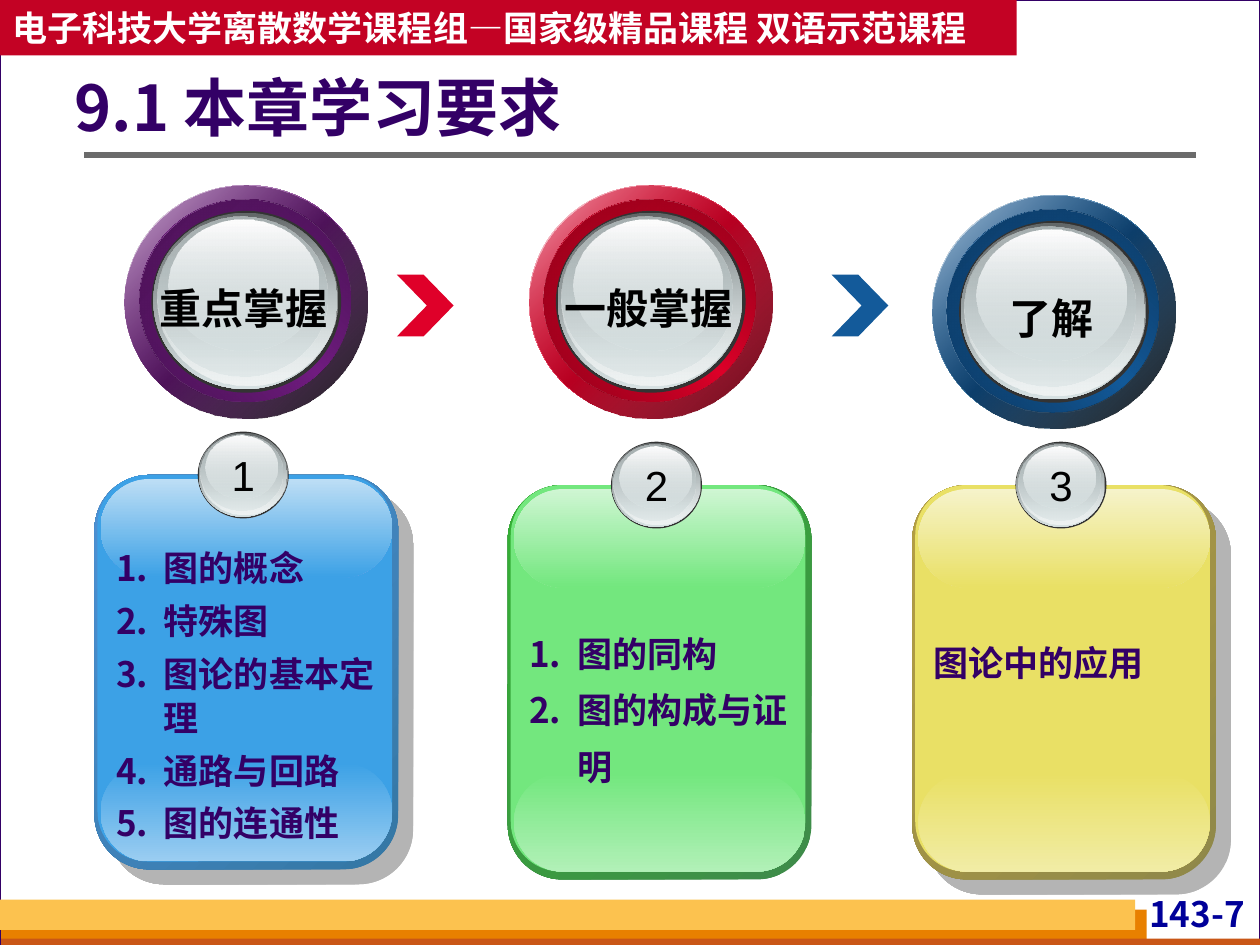
from dataclasses import dataclass

from lxml import etree
from pptx import Presentation
from pptx.dml.color import RGBColor
from pptx.enum.shapes import MSO_CONNECTOR, MSO_SHAPE as Preset
from pptx.enum.text import MSO_ANCHOR as Anchor, MSO_AUTO_SIZE as AutoSize, PP_ALIGN as Align
from pptx.oxml.ns import qn
from pptx.util import Inches, Pt

LATIN, CJK = "Arial", "Noto Sans CJK SC"
WHITE, BLACK = RGBColor(255, 255, 255), RGBColor(0, 0, 0)
INDIGO, NAVY = RGBColor(0x33, 0x00, 0x66), RGBColor(0x00, 0x00, 0x99)
CRIMSON, GRAY = RGBColor(0xC3, 0x02, 0x24), RGBColor(0x6B, 0x6B, 0x6B)
BACKDROP, CHARCOAL = RGBColor(0xD8, 0xDA, 0xDA), RGBColor(0x33, 0x33, 0x33)
ORANGE, RUST = RGBColor(0xE8, 0x80, 0x00), RGBColor(0xC9, 0x56, 0x16)
AMBER = RGBColor(0xFC, 0xC2, 0x4F)
PEARL, MIST = RGBColor(0xFE, 0xFE, 0xFE), RGBColor(0xD6, 0xE1, 0xE2)
SLATE, STEEL = RGBColor(0x62, 0x67, 0x68), RGBColor(0xA8, 0xB1, 0xB2)
FROST = RGBColor(0xEF, 0xF3, 0xF3)
PURPLE, RED, BLUE = (RGBColor(0x71, 0x1C, 0x81), RGBColor(0xDF, 0x00, 0x29),
                     RGBColor(0x13, 0x5A, 0x9A))
# ring: base, groove, rim, shade, shade opacity
PURPLE_RING = (PURPLE, RGBColor(0x3C, 0x0F, 0x45), RGBColor(0x47, 0x11, 0x51), BLACK, 90)
RED_RING = (RED, RGBColor(0x78, 0x00, 0x16), RGBColor(0x8D, 0x00, 0x19),
            RGBColor(0x66, 0x00, 0x12), 100)
BLUE_RING = (BLUE, RGBColor(0x0A, 0x30, 0x53), RGBColor(0x0C, 0x38, 0x61), BLACK, 90)
# card: face, dark edge, light edge, top gloss, bottom gloss
BLUE_CARD = (RGBColor(0x3C, 0xA1, 0xE6), RGBColor(0x34, 0x77, 0xA4), RGBColor(0x4E, 0x91, 0xD4),
             RGBColor(0xBD, 0xDE, 0xF5), RGBColor(0x9A, 0xCD, 0xF1))
GREEN_CARD = (RGBColor(0x73, 0xE7, 0x7E), RGBColor(0x3F, 0x8B, 0x4A), RGBColor(0x34, 0xB0, 0x34),
              RGBColor(0xCF, 0xF6, 0xD3), RGBColor(0xB1, 0xF0, 0xB7))
YELLOW_CARD = (RGBColor(0xE9, 0xE0, 0x65), RGBColor(0x8F, 0x88, 0x49), RGBColor(0xB5, 0x9F, 0x43),
               RGBColor(0xF6, 0xF3, 0xCA), RGBColor(0xF1, 0xEC, 0xA5))


@dataclass
class Box:
    left: float
    top: float
    width: float
    height: float

    def inset(self, x, y, width, height):
        """Return an inner box given as shares of this one."""
        return Box(self.left + x * self.width, self.top + y * self.height,
                   width * self.width, height * self.height)

    def lengths(self):
        return [Inches(n) for n in (self.left, self.top, self.width, self.height)]


def add_color(parent, color, opacity=100):
    node = etree.SubElement(parent, qn("a:srgbClr"), val=str(color))
    if opacity < 100:
        etree.SubElement(node, qn("a:alpha"), val=str(opacity * 1000))


def fill_gradient(shape, angle, stops):
    """Fill with (position, colour, opacity) stops; the angle runs clockwise."""
    shape.fill.gradient()
    gradient = shape.element.spPr.find(qn("a:gradFill"))
    for child in list(gradient):
        gradient.remove(child)
    stop_list = etree.SubElement(gradient, qn("a:gsLst"))
    for position, color, opacity in stops:
        stop = etree.SubElement(stop_list, qn("a:gs"), pos=str(position * 1000))
        add_color(stop, color, opacity)
    etree.SubElement(gradient, qn("a:lin"), ang=str(angle * 60000), scaled="0")


def blend(start, end, start_opacity=100, end_opacity=100):
    return [(0, start, start_opacity), (100, end, end_opacity)]


def add_preset(page, preset, box, color=None, gradient=None, radius=None):
    shape = page.shapes.add_shape(preset, *box.lengths())
    shape.shadow.inherit = False
    shape.line.fill.background()
    if gradient:
        fill_gradient(shape, *gradient)
    else:
        shape.fill.solid()
        shape.fill.fore_color.rgb = color
    if radius is not None:
        shape.adjustments[0] = radius
    return shape


def write(frame, lines, size=20, color=INDIGO, bold=True, font=CJK, align=Align.LEFT,
          anchor=Anchor.TOP, wrap=True, spacing=None, before=0, numbered=False,
          margins=(0.1, 0.05, 0.1, 0.05)):
    frame.word_wrap, frame.vertical_anchor = wrap, anchor
    frame.auto_size = AutoSize.NONE
    (frame.margin_left, frame.margin_top,
     frame.margin_right, frame.margin_bottom) = map(Inches, margins)
    for index, line in enumerate(lines):
        para = frame.add_paragraph() if index else frame.paragraphs[0]
        para.alignment, para.line_spacing = align, spacing
        para.space_before = Pt(before if index else 0)
        if numbered:
            props = para._p.get_or_add_pPr()
            props.set("marL", str(Inches(0.38)))
            props.set("indent", str(-Inches(0.38)))
            add_color(etree.SubElement(props, qn("a:buClr")), color)
            etree.SubElement(props, qn("a:buFont"), typeface=CJK)
            etree.SubElement(props, qn("a:buAutoNum"), type="arabicPeriod")
        span = para.add_run()
        span.text = line
        span.font.size, span.font.bold, span.font.name = Pt(size), bold, font
        span.font.color.rgb = color
        etree.SubElement(span._r.get_or_add_rPr(), qn("a:ea"), typeface=CJK)


def add_text(page, box, lines, **style):
    write(page.shapes.add_textbox(*box.lengths()).text_frame, lines, **style)


def draw_frame(page, area):
    """Draw the page border, header banner, title rule, footer bars and page number."""
    page.background.fill.solid()
    page.background.fill.fore_color.rgb = BACKDROP
    border = add_preset(page, Preset.RECTANGLE, area, WHITE)
    border.line.color.rgb, border.line.width = INDIGO, Pt(0.75)
    for color, left, top, width, height in ((ORANGE, 0.01, 7.22, 9.09, 0.28),
                                            (RUST, 0.01, 7.45, 10, 0.08),
                                            (AMBER, 0, 7.14, 9.01, 0.24)):
        add_preset(page, Preset.RECTANGLE, Box(left, top, width, height), color)
    add_text(page, Box(8.7, 7.08, 1.22, 0.38), ["143-7"], color=NAVY, align=Align.RIGHT,
             margins=(0.04, 0, 0.04, 0))
    rule = page.shapes.add_connector(MSO_CONNECTOR.STRAIGHT, *map(Inches, (0.67, 1.23, 9.49, 1.23)))
    rule.line.color.rgb, rule.line.width = GRAY, Pt(3)
    etree.SubElement(rule._element.spPr, qn("a:effectLst"))
    banner = add_preset(page, Preset.RECTANGLE, Box(0, 0, 8.07, 0.44), CRIMSON)
    write(banner.text_frame, ["电子科技大学离散数学课程组—国家级精品课程 双语示范课程"],
          color=WHITE, anchor=Anchor.MIDDLE)


def place_title(page, box, text):
    title = page.shapes.title
    title.left, title.top, title.width, title.height = box.lengths()
    write(title.text_frame, [text], size=36, anchor=Anchor.MIDDLE, spacing=0.9,
          margins=(0, 0.05, 0.1, 0.05))
    page.shapes.element.append(title.element)  # in front of the page border


def draw_glass(page, box):
    """Draw a glass button: a dark disc under four glossy layers."""
    add_preset(page, Preset.OVAL, box, CHARCOAL)
    for share, stops in (((0.01, 0.01, 0.97, 0.97), blend(SLATE, MIST)),
                         ((0.03, 0.02, 0.95, 0.94), blend(MIST, FROST, 0)),
                         ((0.03, 0.03, 0.9, 0.88), blend(STEEL, MIST, 100, 48)),
                         ((0.09, 0.05, 0.79, 0.72), blend(PEARL, MIST, 100, 38))):
        add_preset(page, Preset.OVAL, box.inset(*share), gradient=(90, stops))


def draw_ring(page, box, label, colors):
    base, groove, rim, shade, opacity = colors
    inner = box.inset(0.06, 0.06, 0.87, 0.87)
    for disc, angle, stops in (
            (box, 225, [(0, PEARL, 100), (50, base, 100), (100, PEARL, 100)]),
            (box, 225, blend(shade, base, opacity, 32)),
            (inner, 135, [(0, groove, 100), (50, base, 100), (100, groove, 100)]),
            (inner, 225, blend(base, rim, 0))):
        add_preset(page, Preset.OVAL, disc, gradient=(angle, stops))
    draw_glass(page, box.inset(0.11, 0.11, 0.78, 0.78))
    add_text(page, box.inset(0.07, 0.39, 0.84, 0.27), [label], size=24, color=BLACK,
             font=LATIN, align=Align.CENTER)


def draw_card(page, box, number, lines, colors, text_top, shadow=True, **style):
    face, dark, light, top_gloss, bottom_gloss = colors
    edge = add_preset(page, Preset.ROUNDED_RECTANGLE, box, radius=0.18,
                      gradient=(225, blend(dark, light)))
    if shadow:
        effects = edge.element.spPr.find(qn("a:effectLst"))
        drop = etree.SubElement(effects, qn("a:outerShdw"), dist=str(Pt(12.1)),
                                dir=str(45 * 60000), algn="ctr", rotWithShape="0")
        add_color(drop, GRAY, 50)
    add_preset(page, Preset.ROUNDED_RECTANGLE, box.inset(0.01, 0, 0.97, 0.98), face, radius=0.17)
    for y, stops in ((0.73, blend(face, bottom_gloss)), (0.01, blend(top_gloss, face))):
        add_preset(page, Preset.ROUNDED_RECTANGLE, box.inset(0.02, y, 0.96, 0.25),
                   gradient=(90, stops), radius=0.5)
    badge = box.inset(0.34, -0.11, 0.3, 0.22)
    draw_glass(page, badge)
    add_text(page, badge, [number], size=24, color=BLACK, bold=False, font=LATIN,
             align=Align.CENTER, anchor=Anchor.MIDDLE)
    add_text(page, box.inset(0.03, text_top, 0.95, 0.95 - text_top), lines, **style)


def main():
    deck = Presentation()
    deck.slide_width, deck.slide_height = Inches(10), Inches(7.5)
    page = deck.slides.add_slide(deck.slide_layouts[5])
    draw_frame(page, Box(0, 0, 10, 7.5))
    place_title(page, Box(0.59, 0.54, 7.78, 0.69), "9.1 本章学习要求")
    for left, color in ((3.15, RED), (6.6, BLUE)):
        arrow = add_preset(page, Preset.CHEVRON, Box(left, 2.18, 0.45, 0.49), color)
        arrow.adjustments[0] = 0.53
    for left, top, label, colors in ((0.99, 1.47, "重点掌握", PURPLE_RING),
                                     (4.2, 1.47, "一般掌握", RED_RING),
                                     (7.4, 1.55, "了解", BLUE_RING)):
        draw_ring(page, Box(left, top, 1.93, 1.85), label, colors)
    draw_card(page, Box(0.75, 3.77, 2.41, 3.13), "1",
              ["图的概念", "特殊图", "图论的基本定理", "通路与回路", "图的连通性"],
              BLUE_CARD, 0.16, spacing=1.05, before=5, numbered=True)
    draw_card(page, Box(4.03, 3.85, 2.41, 3.13), "2", ["图的同构", "图的构成与证明"],
              GREEN_CARD, 0.32, shadow=False, font=LATIN, spacing=1.35, numbered=True)
    draw_card(page, Box(7.24, 3.85, 2.41, 3.13), "3", ["图论中的应用"],
              YELLOW_CARD, 0.35, font=LATIN, spacing=1.3)
    deck.save("out.pptx")


if __name__ == "__main__":
    main()
